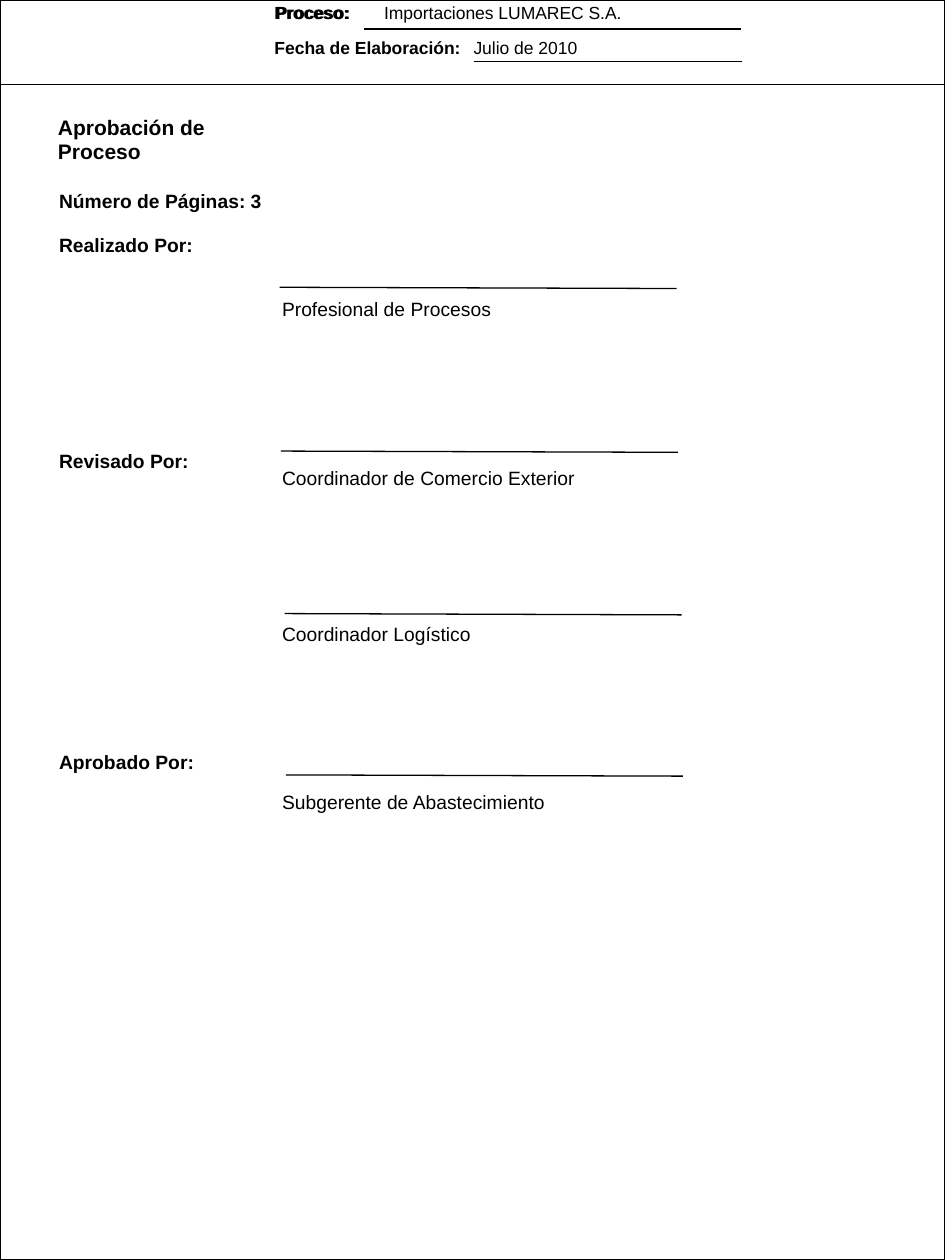
from lxml import etree
from pptx import Presentation
from pptx import util as u
from pptx.dml.color import RGBColor
from pptx.enum import shapes, text
from pptx.oxml import ns


def color(value):
    return RGBColor.from_string(value)


class ApprovalSheet:
    FONT = "Arial"
    INK = "000000"
    LINE_SPACING = 0.93

    def __init__(self, slide):
        self.slide = slide

    def style(self, paragraph, size, bold):
        paragraph.alignment = text.PP_ALIGN.LEFT
        paragraph.line_spacing = self.LINE_SPACING
        font = paragraph.font
        font.name, font.size, font.bold = self.FONT, u.Pt(size), bold
        font.color.rgb = color(self.INK)

    def frame(self, box, wrap):
        frame = box.text_frame
        frame.word_wrap = wrap
        frame.auto_size = text.MSO_AUTO_SIZE.SHAPE_TO_FIT_TEXT
        frame.vertical_anchor = text.MSO_ANCHOR.TOP
        return frame

    def title(self, words, left, top, width, height, size):
        title = self.slide.shapes.title
        title.left, title.top = u.Inches(left), u.Inches(top)
        title.width, title.height = u.Inches(width), u.Inches(height)
        title.text = words
        frame = self.frame(title, False)
        self.style(frame.paragraphs[0], size, True)

    def text_box(self, left, top, width, height, wrap=False):
        box = self.slide.shapes.add_textbox(
            u.Inches(left), u.Inches(top), u.Inches(width), u.Inches(height))
        return self.frame(box, wrap)

    def field(self, label, value, left, top, width, tab=0):
        """Bold label, followed at a tab stop by a plain value."""
        paragraph = self.text_box(left, top, width, 0.26).paragraphs[0]
        self.style(paragraph, 10, None)
        label_run = paragraph.add_run()
        label_run.text = label
        label_run.font.bold = True
        if not value:
            return
        value_run = paragraph.add_run()
        value_run.text = "\t" + value
        value_run.font.bold = False
        stops = etree.Element(ns.qn("a:tabLst"))
        etree.SubElement(stops, ns.qn("a:tab"), pos=str(u.Inches(tab)), algn="l")
        paragraph.font  # the tab stops go before the font properties
        properties = paragraph._p.get_or_add_pPr()
        properties.find(ns.qn("a:defRPr")).addprevious(stops)

    def column(self, entries, left, top, width, height, bold, wrap):
        """Stack (words, points of space before) entries in one text box."""
        frame = self.text_box(left, top, width, height, wrap)
        for index, (words, gap) in enumerate(entries):
            paragraph = frame.add_paragraph() if index else frame.paragraphs[0]
            paragraph.text = words
            self.style(paragraph, 11, bold)
            paragraph.space_before = u.Pt(gap)

    def rule(self, left, top, right, bottom):
        line = self.slide.shapes.add_connector(
            shapes.MSO_CONNECTOR.STRAIGHT,
            u.Inches(left), u.Inches(top), u.Inches(right), u.Inches(bottom))
        line.line.color.rgb = color(self.INK)
        line.line.width = u.Pt(0.75)
        etree.SubElement(line._element.spPr, ns.qn("a:effectLst"))

    def border(self, width, height):
        border = self.slide.shapes.add_shape(
            shapes.MSO_SHAPE.RECTANGLE, 0, 0, width, height)
        border.shadow.inherit = False
        border.fill.background()
        border.line.color.rgb = color(self.INK)
        border.line.width = u.Pt(1.5)


def main():
    deck = Presentation()
    deck.slide_width, deck.slide_height = u.Inches(7.5), u.Inches(10)
    sheet = ApprovalSheet(deck.slides.add_slide(deck.slide_layouts[5]))

    sheet.field("Proceso:", "Importaciones LUMAREC S.A.", 2.09, -0.02, 2.98, 0.86)
    sheet.field("Proceso:", "", 2.08, -0.02, 0.79)
    sheet.field("Fecha de Elaboración:", "Julio de 2010", 2.08, 0.26, 2.61, 1.58)
    sheet.rule(2.89, 0.23, 5.88, 0.23)
    sheet.rule(3.76, 0.49, 5.89, 0.49)
    sheet.border(deck.slide_width, deck.slide_height)
    sheet.rule(0, 0.67, 7.5, 0.67)

    sheet.title("Aprobación de Proceso", 0.36, 0.88, 2.07, 0.29, 12)
    steps = [("Número de Páginas: 3", 0), ("Realizado Por:", 12.8),
             ("Revisado Por:", 111), ("Aprobado Por:", 159.6)]
    sheet.column(steps, 0.37, 1.47, 1.81, 5.22, bold=True, wrap=False)
    signers = [("Profesional de Procesos", 0),
               ("Coordinador de Comercio Exterior", 84.2),
               ("Coordinador Logístico", 76.8),
               ("Subgerente de Abastecimiento", 83.6)]
    sheet.column(signers, 2.14, 2.33, 4.8, 4.95, bold=False, wrap=True)

    for left, top in [(2.22, 2.28), (2.23, 3.58), (2.26, 4.87), (2.27, 6.15)]:
        sheet.rule(left, top, left + 3.15, top + 0.01)

    deck.save("out.pptx")


if __name__ == "__main__":
    main()
